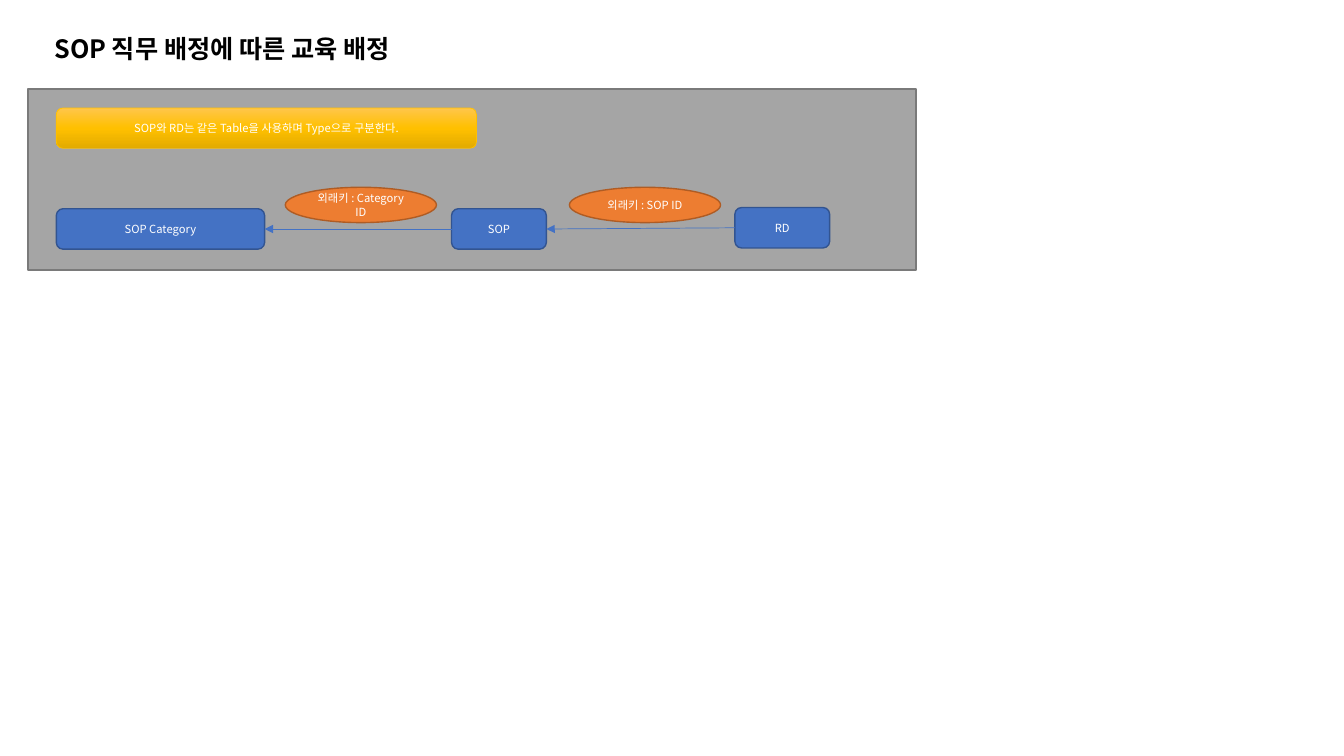
from copy import deepcopy

from lxml import etree
from pptx import Presentation
from pptx import util as u
from pptx.dml.color import RGBColor
from pptx.enum import shapes, text
from pptx.oxml import ns

COLOURS = {
    "panel": "A5A5A5", "panel_line": "7A7A7A",
    "table": "4472C4", "table_line": "325491",
    "key": "ED7D31", "key_line": "AF5C24",
    "note": "FFC000", "note_light": "FFC64B", "note_dark": "E3AB00",
    "title": "000000", "label": "FFFFFF",
}
FONT = "Noto Sans CJK KR"
KINDS = shapes.MSO_SHAPE
LEFT_SIDE, RIGHT_SIDE = 1, 3


def colour(name):
    return RGBColor.from_string(COLOURS[name])


def place(left, top, width, height):
    return [u.Cm(value) for value in (left, top, width, height)]


def write(box, words, size, ink, bold=False):
    box.text_frame.word_wrap = True
    para = box.text_frame.paragraphs[0]
    span = para.add_run()
    span.text = words
    formats = {"name": FONT, "size": u.Pt(size), "bold": bold}
    for name, value in formats.items():
        setattr(span.font, name, value)
    span.font.color.rgb = colour(ink)
    east_asian = etree.SubElement(span.font._element, ns.qn("a:ea"))
    east_asian.set("typeface", FONT)
    return para


def add_title(page, words):
    box = page.shapes.add_textbox(*place(1.12, 0.71, 30.25, 1.02))
    write(box, words, 18, "title", bold=True)
    box.text_frame.auto_size = text.MSO_AUTO_SIZE.SHAPE_TO_FIT_TEXT


def add_box(page, kind, area, fill, line, words="", weight=1):
    box = page.shapes.add_shape(kind, *place(*area))
    box.shadow.inherit = False
    box.fill.solid()
    box.fill.fore_color.rgb = colour(fill)
    box.line.color.rgb = colour(line)
    box.line.width = u.Pt(weight)
    if words:
        para = write(box, words, 8, "label")
        para.alignment = text.PP_ALIGN.CENTER
        box.text_frame.vertical_anchor = text.MSO_ANCHOR.MIDDLE
    return box


def shade(box, names):
    """Fill a box from top to bottom with evenly spaced colours."""
    box.fill.gradient()
    box.fill.gradient_angle = 270
    stops = box._element.spPr.find(ns.qn("a:gradFill")).find(ns.qn("a:gsLst"))
    for _ in range(len(names) - len(stops)):
        stops.append(deepcopy(stops[0]))
    for index, (stop, name) in enumerate(zip(box.fill.gradient_stops, names)):
        stop.position = index / (len(names) - 1)
        stop.color.rgb = colour(name)


def add_arrow(page, source, target):
    """Point from the left side of source to the right side of target."""
    arrow = page.shapes.add_connector(shapes.MSO_CONNECTOR.STRAIGHT, 0, 0, 0, 0)
    arrow.begin_connect(source, LEFT_SIDE)
    arrow.end_connect(target, RIGHT_SIDE)
    arrow.line.color.rgb = colour("table")
    arrow.line.width = u.Pt(0.5)
    outline = arrow.line._get_or_add_ln()
    etree.SubElement(outline, ns.qn("a:tailEnd")).set("type", "triangle")
    etree.SubElement(arrow._element.spPr, ns.qn("a:effectLst"))


def main():
    deck = Presentation()
    deck.slide_width, deck.slide_height = u.Cm(33.87), u.Cm(19.05)
    page = deck.slides.add_slide(deck.slide_layouts[6])

    add_box(page, KINDS.RECTANGLE, (0.71, 2.24, 22.38, 4.57), "panel", "panel_line")
    add_title(page, "SOP 직무 배정에 따른 교육 배정")

    tables = [
        add_box(page, KINDS.ROUNDED_RECTANGLE, (left, top, width, 1.02),
                "table", "table_line", words)
        for left, top, width, words in (
            (1.42, 5.26, 5.25, "SOP Category"),
            (11.38, 5.26, 2.39, "SOP"),
            (18.52, 5.23, 2.39, "RD"),
        )
    ]
    for target, source in zip(tables, tables[1:]):
        add_arrow(page, source, target)

    for left, words in ((7.19, "외래키 : Category ID"), (14.35, "외래키 : SOP ID")):
        add_box(page, KINDS.OVAL, (left, 4.72, 3.81, 0.89), "key", "key_line", words)

    note = add_box(page, KINDS.ROUNDED_RECTANGLE, (1.42, 2.72, 10.59, 1.02),
                   "note", "note",
                   "SOP와 RD는 같은 Table을 사용하며 Type으로 구분한다.", 0.5)
    shade(note, ("note_light", "note", "note_dark"))

    deck.save("out.pptx")


if __name__ == "__main__":
    main()
